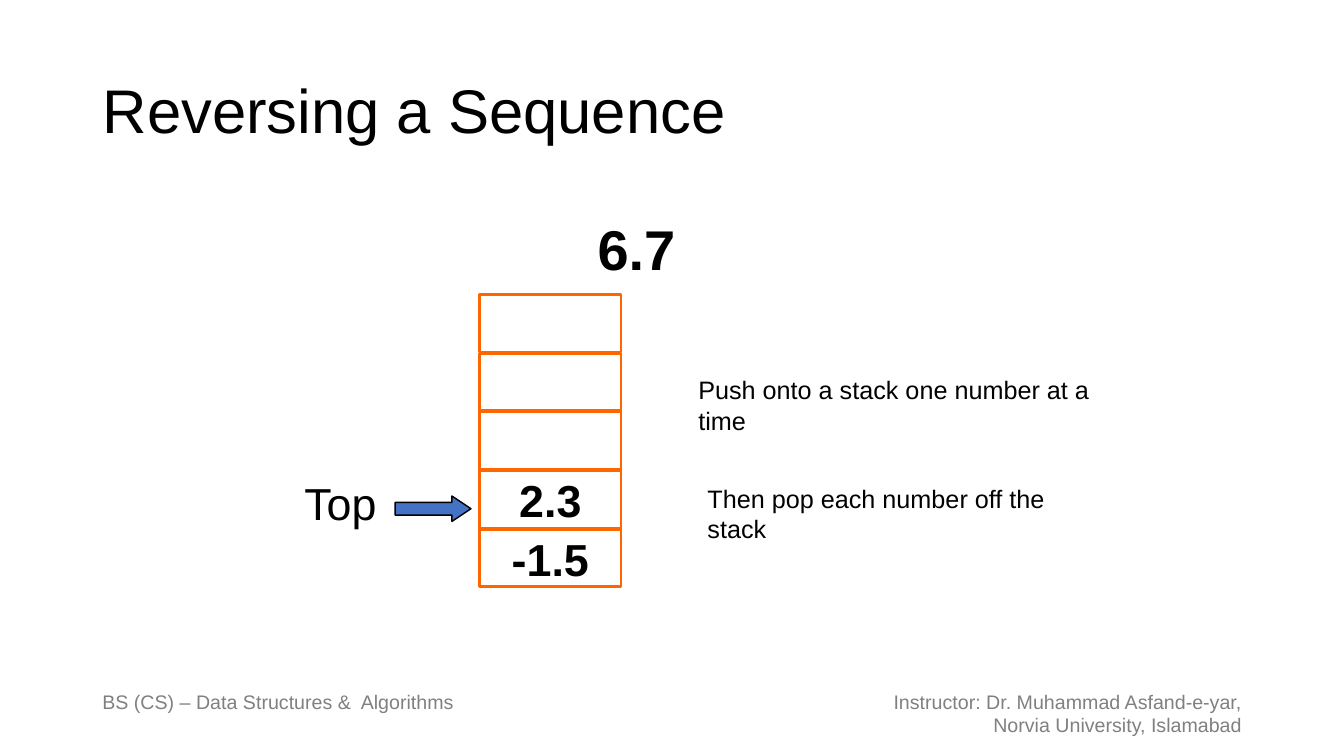
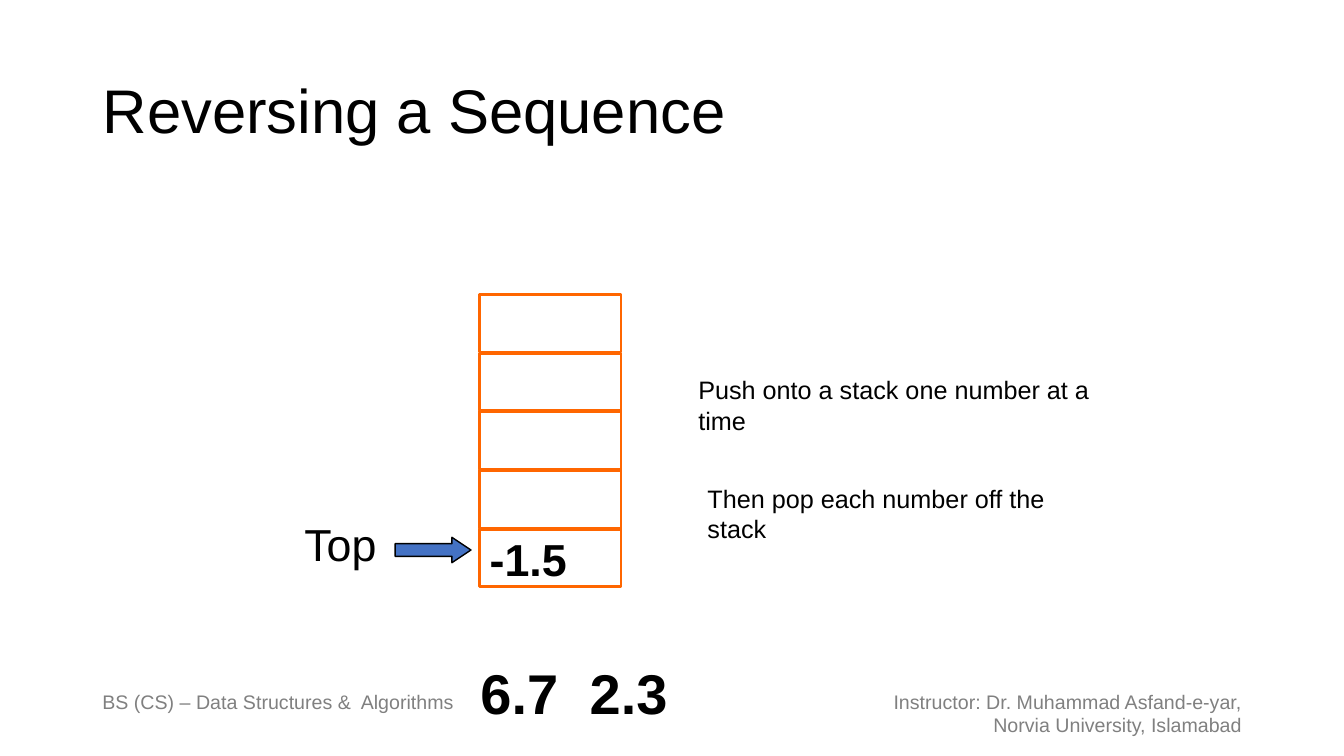
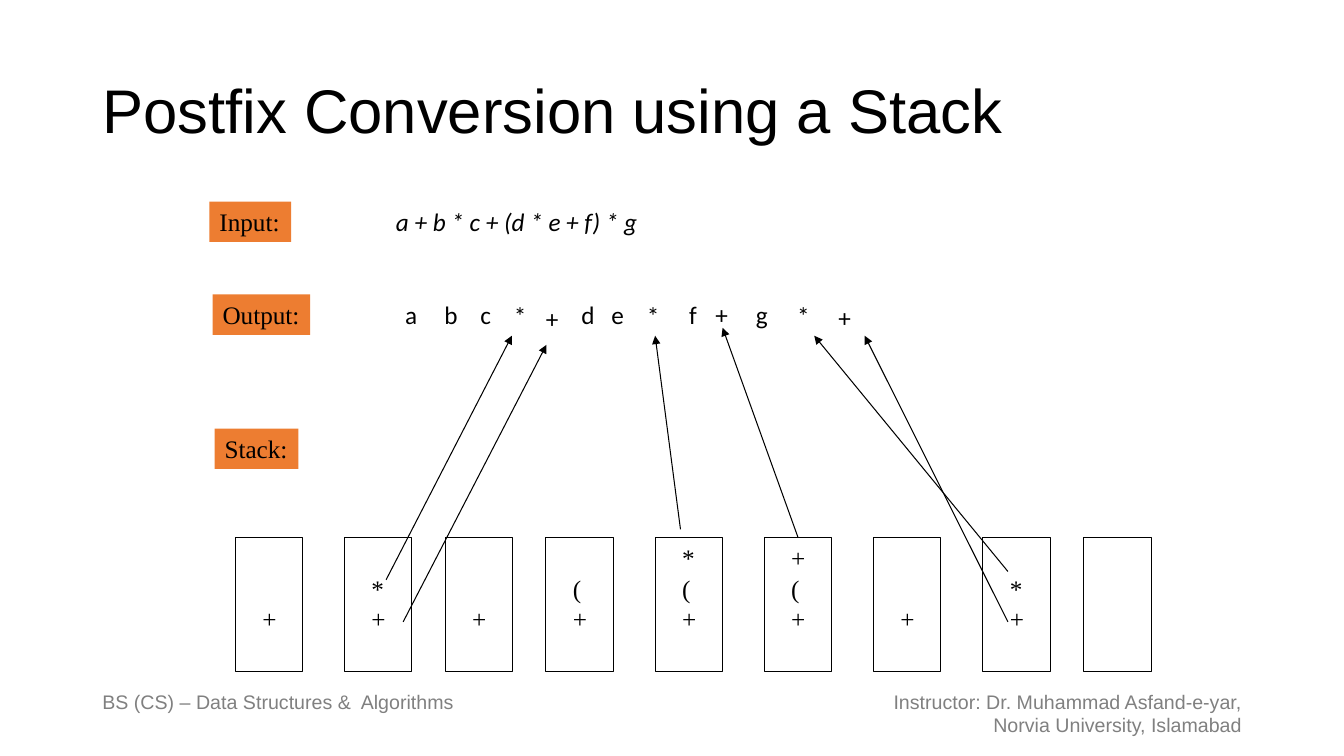
from lxml import etree
from pptx import Presentation
from pptx.dml.color import RGBColor
from pptx.enum import shapes, text
from pptx.oxml.ns import qn
from pptx.util import Cm, Pt

BLACK = RGBColor(0x00, 0x00, 0x00)
GREY = RGBColor(0x80, 0x80, 0x80)
BLUE = RGBColor(0x44, 0x72, 0xC4)
CELL_ORANGE = RGBColor(0xFF, 0x66, 0x00)
LABEL_ORANGE = RGBColor(0xED, 0x7D, 0x31)

LEFT, CENTER, RIGHT = text.PP_ALIGN.LEFT, text.PP_ALIGN.CENTER, text.PP_ALIGN.RIGHT
TOP, MIDDLE, BOTTOM = (text.MSO_ANCHOR.TOP, text.MSO_ANCHOR.MIDDLE,
                       text.MSO_ANCHOR.BOTTOM)
RECT, ARROW = shapes.MSO_SHAPE.RECTANGLE, shapes.MSO_SHAPE.RIGHT_ARROW

TITLE = {"name": "Arial", "size": Pt(44)}
FOOTER = {"name": "Arial", "size": Pt(14)}
NOTE = {"name": "Arial", "size": Pt(18)}
POINTER = {"name": "Arial", "size": Pt(32)}
CELL = {"name": "Arial", "size": Pt(32), "bold": True}
NUMBER = {"name": "Arial", "size": Pt(40), "bold": True}
SERIF = {"name": "Times New Roman", "size": Pt(18)}
TOKEN = {"name": "Calibri", "size": Pt(18)}
INFIX = {**TOKEN, "italic": True}


class Deck:
    """Holds the presentation, its shared style and the current slide."""

    def __init__(self):
        self.prs = Presentation()
        self.prs.slide_width, self.prs.slide_height = Cm(33.87), Cm(19.05)
        self.s = None

    def fill_text(self, tf, lines, font, color=BLACK, align=LEFT, anchor=TOP, wrap=True):
        frame = {"word_wrap": wrap, "vertical_anchor": anchor,
                 "auto_size": text.MSO_AUTO_SIZE.NONE}
        for key, value in frame.items():
            setattr(tf, key, value)
        for i, line in enumerate(lines.split("\n")):
            p = tf.add_paragraph() if i else tf.paragraphs[0]
            p.alignment = align
            r = p.add_run()
            r.text = line
            for key, value in font.items():
                setattr(r.font, key, value)
            r.font.color.rgb = color

    def slide(self, title):
        """Start a slide with its title and the two footers."""
        self.s = self.prs.slides.add_slide(self.prs.slide_layouts[5])
        sp = self.s.shapes.title
        box = {"left": 2.33, "top": 1.02, "width": 29.21, "height": 3.68}
        for key, value in box.items():
            setattr(sp, key, Cm(value))
        self.fill_text(sp.text_frame, title, TITLE, anchor=MIDDLE)
        sp.text_frame.paragraphs[0].line_spacing = 0.9
        self.text(2.33, 17.25, 9.42, 0.86, "BS (CS) – Data Structures &  Algorithms",
                  FOOTER, color=GREY, wrap=False)
        self.text(22.23, 17.25, 9.32, 1.45,
                  "Instructor: Dr. Muhammad Asfand-e-yar,\nNorvia University, Islamabad",
                  FOOTER, color=GREY, align=RIGHT, wrap=False)

    def text(self, x, y, w, h, lines, font, **style):
        sp = self.s.shapes.add_textbox(Cm(x), Cm(y), Cm(w), Cm(h))
        self.fill_text(sp.text_frame, lines, font, **style)

    def shape(self, kind, x, y, w, h, fill=None, line=None, width=1):
        sp = self.s.shapes.add_shape(kind, Cm(x), Cm(y), Cm(w), Cm(h))
        sp.shadow.inherit = False
        if fill is None:
            sp.fill.background()
        else:
            sp.fill.solid()
            sp.fill.fore_color.rgb = fill
        if line is None:
            sp.line.fill.background()
        else:
            sp.line.color.rgb = line
            sp.line.width = Pt(width)
        return sp

    def arrow(self, x1, y1, x2, y2):
        c = self.s.shapes.add_connector(shapes.MSO_CONNECTOR.STRAIGHT,
                                        Cm(x1), Cm(y1), Cm(x2), Cm(y2))
        c.line.color.rgb = BLACK
        c.line.width = Pt(0.75)
        props = c._element.spPr
        etree.SubElement(props.find(qn("a:ln")), qn("a:tailEnd"), type="triangle")
        etree.SubElement(props, qn("a:effectLst"))
        return c

    def number_stack(self, values, pointer_y, align):
        """Five cells listed from the top down, the Top pointer and both notes."""
        for i, value in enumerate(values):
            sp = self.shape(RECT, 12.09, 7.42 + 1.48 * i, 3.56, 1.45,
                            line=CELL_ORANGE, width=2)
            if value:
                self.fill_text(sp.text_frame, value, CELL, align=align, anchor=MIDDLE)
        self.text(7.42, pointer_y, 2.74, 1.6, "Top", POINTER)
        sp = self.shape(ARROW, 9.96, pointer_y + 0.64, 1.91, 0.64, BLUE, BLACK)
        sp.adjustments[1] = 0.75
        self.text(17.35, 9.32, 10.8, 1.8, "Push onto a stack one number at a time", NOTE)
        self.text(17.58, 12.06, 10.59, 1.8, "Then pop each number off the stack", NOTE)

    def operator_stack(self, x, operators):
        sp = self.shape(RECT, x, 13.54, 1.7, 3.39, line=BLACK, width=0.75)
        if operators:
            tf = sp.text_frame
            insets = {"margin_left": 0.68, "margin_right": 0, "margin_bottom": 0.97}
            for key, value in insets.items():
                setattr(tf, key, Cm(value))
            self.fill_text(tf, "\n".join(operators), SERIF, anchor=BOTTOM)
        return sp

    def label(self, x, y, w, caption):
        sp = self.shape(RECT, x, y, w, 1.02, LABEL_ORANGE)
        self.fill_text(sp.text_frame, caption, SERIF, wrap=False)


def pushing(d):
    d.slide("Reversing a Sequence")
    d.text(14.81, 5.28, 13.55, 1.96, "6.7", NUMBER)
    d.number_stack(["", "", "", "2.3", "-1.5"], 11.86, CENTER)


def popping(d):
    d.slide("Reversing a Sequence")
    d.number_stack(["", "", "", "", "-1.5"], 12.9, LEFT)
    for i, popped in enumerate(["6.7", "2.3"]):
        d.text(11.86 + 2.75 * i, 16.46, 2.75, 1.96, popped, NUMBER)


def postfix(d):
    d.slide("Postfix Conversion using a Stack")
    # Operators are listed from the top of each stack down.
    stacks = [(5.93, "+"), (8.68, "*+"), (11.22, "+"), (13.76, "(+"), (16.51, "*(+"),
              (19.26, "+(+"), (22.01, "+"), (24.77, "*+"), (27.31, "")]
    boxes = [d.operator_stack(x, operators) for x, operators in stacks]

    for row in [(5.28, 5.08, 2.06, "Input:"), (5.36, 7.42, 2.46, "Output:"),
                (5.41, 10.8, 2.11, "Stack:")]:
        d.label(*row)

    for ends in [(9.73, 14.61, 12.9, 8.46), (10.16, 15.67, 13.77, 8.69),
                 (17.15, 13.34, 16.51, 8.46), (25.4, 15.67, 21.79, 8.46),
                 (25.4, 14.4, 20.52, 8.46)]:
        d.arrow(*ends)
    d.arrow(20.11, 13.54, 18.21, 8.26).begin_connect(boxes[5], 0)

    d.text(9.73, 5.08, 6.68, 1.02, "a + b * c + (d * e + f) * g", INFIX, wrap=False)
    tokens = [("a", 9.96, 7.42), ("b", 10.95, 7.42), ("c", 11.86, 7.42),
              ("*", 12.7, 7.44), ("+", 13.51, 7.52), ("d", 14.4, 7.42),
              ("e", 15.16, 7.42), ("*", 16.05, 7.44), ("f", 17.12, 7.42),
              ("+", 17.78, 7.42), ("g", 18.8, 7.42), ("*", 19.84, 7.44),
              ("+", 20.88, 7.49)]
    for token, x, y in tokens:
        d.text(x, y, 0.84, 1.02, token, TOKEN, wrap=False)


def main():
    d = Deck()
    for build in (pushing, popping, postfix):
        build(d)
    d.prs.save("out.pptx")


if __name__ == "__main__":
    main()
